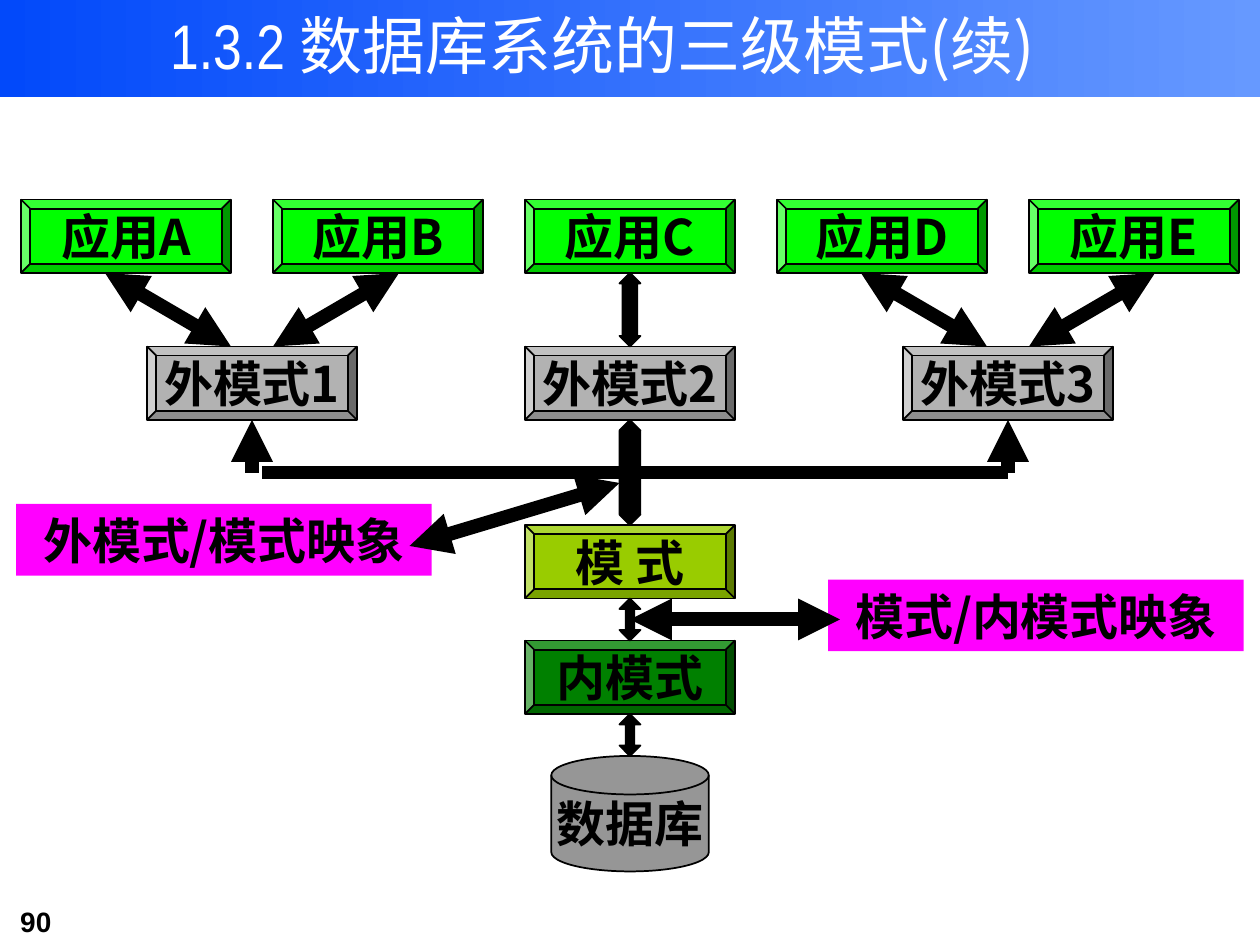
import pptx
import pptx.dml.color
import pptx.enum.shapes
import pptx.enum.text
import pptx.oxml
import pptx.oxml.ns
import pptx.util

Pt = pptx.util.Pt
SHAPE = pptx.enum.shapes.MSO_SHAPE
ALIGN = pptx.enum.text.PP_ALIGN
ANCHOR = pptx.enum.text.MSO_ANCHOR
qn = pptx.oxml.ns.qn

COLOURS = {
    "band start": "0249FA", "band end": "6699FF", "title": "FFFFFF",
    "ink": "000000", "application": "00FF00", "external": "B2B2B2",
    "schema": "99CC00", "internal": "008000", "database": "969696",
    "mapping": "FF00FF",
}
CJK = "Noto Sans CJK SC"
BOX_W, BOX_H = 120, 42
CENTRE = 360
APPLICATION_Y, EXTERNAL_Y, SCHEMA_Y, INTERNAL_Y, DATABASE_Y = 114, 198, 300, 366, 432
BUS_Y = 270


def rgb(name):
    return pptx.dml.color.RGBColor.from_string(COLOURS[name])


def style(font, size, colour, bold):
    font.size, font.bold = Pt(size), bold
    font.color.rgb = rgb(colour)


def set_east_asian(properties):
    """Use the CJK face for Chinese characters in the given text properties."""
    ea = properties.makeelement(qn("a:ea"), {"typeface": CJK})
    properties.find(qn("a:latin")).addnext(ea)


def add_block(slide, kind, box, colour, text="", outlined=True):
    block = slide.shapes.add_shape(kind, *map(Pt, box))
    block.shadow.inherit = False
    block.fill.solid()
    block.fill.fore_color.rgb = rgb(colour)
    if outlined:
        block.line.color.rgb = rgb("ink")
        block.line.width = Pt(1)
    else:
        block.line.fill.background()
    if text:
        block.text_frame.word_wrap = False
        block.text_frame.vertical_anchor = ANCHOR.MIDDLE
        label = block.text_frame.paragraphs[0]
        label.text = text
        label.alignment = ALIGN.CENTER
        style(label.font, 28, "ink", True)
        label.font.name = CJK
        set_east_asian(label._p.pPr.find(qn("a:defRPr")))
    return block


def add_level(slide, centre, top, colour, text):
    box = (centre - BOX_W / 2, top, BOX_W, BOX_H)
    add_block(slide, SHAPE.BEVEL, box, colour, text)


def add_vertical_arrow(slide, top, bottom, head):
    """Double block arrow on the centre line; head is relative to its width."""
    arrow = add_block(slide, SHAPE.UP_DOWN_ARROW,
                      (CENTRE - 6, top, 12, bottom - top), "ink")
    arrow.adjustments[1] = head


def add_line(slide, start, end, arrowheads=()):
    line = slide.shapes.add_connector(
        pptx.enum.shapes.MSO_CONNECTOR.STRAIGHT, *map(Pt, start + end))
    line.line.color.rgb = rgb("ink")
    line.line.width = Pt(8)
    outline = line.line._ln
    for position in arrowheads:
        outline.append(outline.makeelement(qn("a:" + position), {"type": "triangle"}))
    outline.addnext(outline.makeelement(qn("a:effectLst"), {}))


def add_title(slide):
    title = slide.shapes.title
    title.left, title.top, title.width, title.height = map(Pt, (90, 0, 546, 93.6))
    title.text_frame.word_wrap = True
    title.text_frame.auto_size = pptx.enum.text.MSO_AUTO_SIZE.NONE
    title.text_frame.vertical_anchor = ANCHOR.TOP
    heading = title.text_frame.paragraphs[0]
    heading.alignment = ALIGN.LEFT
    style(heading.font, 36, "title", False)
    for text, face in (("1.3.2 ", "Arial Narrow"), ("数据库系统的三级模式(续)", CJK)):
        run = heading.add_run()
        run.text = text
        run.font.name = face
        set_east_asian(run._r.rPr)


def add_title_band(slide):
    band = add_block(slide, SHAPE.RECTANGLE, (0, 0, 720, 55.5), "band start", outlined=False)
    band.fill.gradient()
    band.fill.gradient_angle = 0
    for stop, colour, position in zip(band.fill.gradient_stops,
                                      ("band start", "band end"), (0, 1)):
        stop.color.rgb = rgb(colour)
        stop.position = position
    slide.shapes.title._element.addprevious(band._element)


def add_page_number(slide):
    box = slide.shapes.add_textbox(*map(Pt, (4.5, 513.5, 88, 26.5)))
    box.text_frame.word_wrap = True
    number = box.text_frame.paragraphs[0]
    number.text = "90"
    style(number.font, 16, "ink", True)
    number.font.name = "Arial"


def add_levels(slide):
    add_block(slide, SHAPE.FLOWCHART_MAGNETIC_DISK,
              (CENTRE - 45, DATABASE_Y, 90, 66), "database", "数据库")
    add_level(slide, CENTRE, INTERNAL_Y, "internal", "内模式")
    add_level(slide, CENTRE, SCHEMA_Y, "schema", "模 式")
    for i in range(3):
        add_level(slide, 144 + 216 * i, EXTERNAL_Y, "external", f"外模式{i + 1}")
    for i, letter in enumerate("ABCDE"):
        add_level(slide, 72 + 144 * i, APPLICATION_Y, "application", "应用" + letter)


def add_links(slide):
    both = ("headEnd", "tailEnd")
    for upper, lower, head in ((INTERNAL_Y + BOX_H, DATABASE_Y, 0.4),
                               (SCHEMA_Y + BOX_H, INTERNAL_Y, 0.4),
                               (EXTERNAL_Y + BOX_H, SCHEMA_Y, 0.99),
                               (APPLICATION_Y + BOX_H, EXTERNAL_Y, 0.7)):
        add_vertical_arrow(slide, upper, lower, head)
    for centre, bus_start in ((144, 150), (576, 366)):
        add_line(slide, (bus_start, BUS_Y), (bus_start + 210, BUS_Y))
        add_line(slide, (centre, BUS_Y), (centre, EXTERNAL_Y + BOX_H), ("tailEnd",))
        for side in (-1, 1):
            add_line(slide, (centre + 12 * side, EXTERNAL_Y),
                     (centre + 84 * side, APPLICATION_Y + BOX_H), both)
    for left, top, text in ((9.25, 288, "外模式/模式映象"), (473.25, 331.2, "模式/内模式映象")):
        add_block(slide, SHAPE.RECTANGLE, (left, top, 237.5, 41), "mapping", text, outlined=False)
    add_line(slide, (234, 312), (354, 276), both)
    add_line(slide, (360, 354), (480, 354), both)


def main():
    presentation = pptx.Presentation()
    presentation.slide_width, presentation.slide_height = Pt(720), Pt(540)
    slide = presentation.slides.add_slide(presentation.slide_layouts[5])
    add_title(slide)
    add_title_band(slide)
    add_page_number(slide)
    add_levels(slide)
    add_links(slide)
    presentation.save("out.pptx")


if __name__ == "__main__":
    main()
